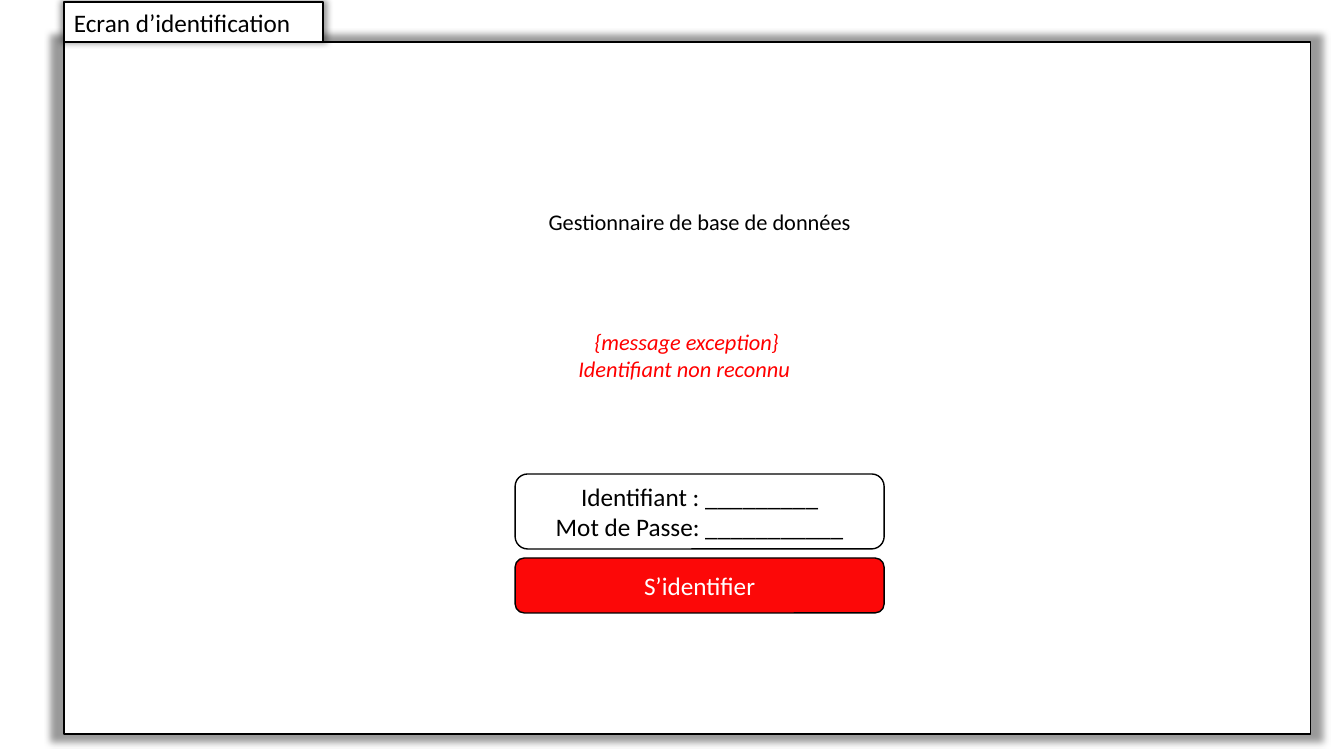
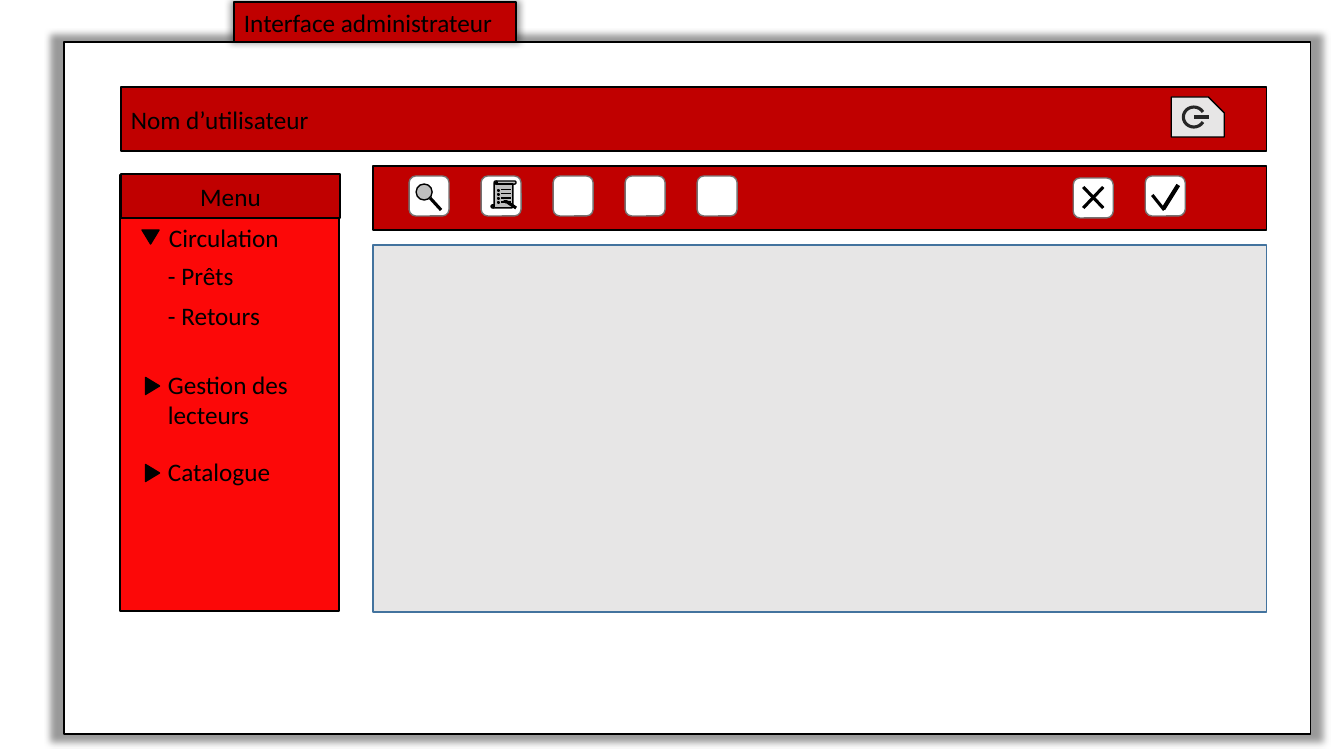
from typing import NamedTuple

from lxml.etree import SubElement
from pptx import Presentation
from pptx.dml.color import RGBColor
from pptx.enum.shapes import MSO_CONNECTOR, MSO_SHAPE
from pptx.enum.text import MSO_ANCHOR, MSO_AUTO_SIZE, PP_ALIGN
from pptx.oxml.ns import qn
from pptx.util import Emu, Inches, Pt

PIXELS_PER_INCH = 100.8
FONT = "Calibri"
BLACK, WHITE = "000000", "FFFFFF"
DARK_RED, RED, ALERT = "C00000", "FC0808", "FF0000"
LIGHT_GREY, MID_GREY, BUTTON_EDGE = "E7E6E6", "BFBFBF", "767171"
POWER_GREY, CONTENT_EDGE = "262626", "43739E"
BUTTON_SIZE, BUTTON_PITCH = 40, 72


class Box(NamedTuple):
    """A rectangle in pixels."""
    left: float
    top: float
    width: float
    height: float

    def inner(self, left, top, width, height):
        """Return a box placed relative to this one."""
        return Box(self.left + left, self.top + top, width, height)


FRAME = Box(64, 42, 1246, 692)


def px(value):
    """Turn pixels into EMU."""
    return Emu(round(value * 914400 / PIXELS_PER_INCH))


def color(code):
    """Turn a hex string into a colour."""
    return RGBColor.from_string(code)


def write(shape, lines, size=18, ink=BLACK, align=PP_ALIGN.LEFT,
          anchor=MSO_ANCHOR.MIDDLE, italic=False, grow=False):
    """Fill a shape with one paragraph per line."""
    frame = shape.text_frame
    frame.word_wrap = True
    frame.vertical_anchor = anchor
    if grow:
        frame.auto_size = MSO_AUTO_SIZE.SHAPE_TO_FIT_TEXT
    for index, line in enumerate(lines):
        paragraph = frame.add_paragraph() if index else frame.paragraphs[0]
        paragraph.alignment = align
        run = paragraph.add_run()
        run.text = line
        run.font.name = FONT
        run.font.size = Pt(size)
        run.font.italic = italic
        run.font.color.rgb = color(ink)


def add_shape(slide, kind, box, fill=None, line=BLACK, weight=1, rotation=0):
    """Add a flat preset shape."""
    shape = slide.shapes.add_shape(kind, *map(px, box))
    shape.shadow.inherit = False
    shape.rotation = rotation
    if fill:
        shape.fill.solid()
        shape.fill.fore_color.rgb = color(fill)
    else:
        shape.fill.background()
    if line:
        shape.line.color.rgb = color(line)
        shape.line.width = Pt(weight)
    else:
        shape.line.fill.background()
    return shape


def add_text(slide, box, lines, **style):
    """Add a text box that grows with its text."""
    label = slide.shapes.add_textbox(*map(px, box))
    write(label, lines, anchor=MSO_ANCHOR.TOP, grow=True, **style)


def add_line(slide, box, start, end, ink=BLACK, weight=2.25):
    """Draw a straight line between two points relative to a box."""
    points = (box.left + start[0], box.top + start[1],
              box.left + end[0], box.top + end[1])
    connector = slide.shapes.add_connector(MSO_CONNECTOR.STRAIGHT, *map(px, points))
    connector.line.color.rgb = color(ink)
    connector.line.width = Pt(weight)
    SubElement(connector._element.spPr, qn("a:effectLst"))


def add_glow(shape):
    """Give a shape a soft shadow on all sides."""
    effects = shape._element.spPr.find(qn("a:effectLst"))
    shadow = SubElement(effects, qn("a:outerShdw"), blurRad="63500", sx="102000",
                        sy="102000", algn="ctr", rotWithShape="0")
    ink = SubElement(shadow, qn("a:srgbClr"), val=BLACK)
    SubElement(ink, qn("a:alpha"), val="40000")


def add_screen(presentation, title, tab_left, tab_width, tab_fill):
    """Add a slide with the shared window frame and its title tab."""
    slide = presentation.slides.add_slide(presentation.slide_layouts[6])
    add_glow(add_shape(slide, MSO_SHAPE.RECTANGLE, FRAME, WHITE))
    tab_box = FRAME.inner(tab_left, -40, tab_width, 40)
    tab = add_shape(slide, MSO_SHAPE.RECTANGLE, tab_box, tab_fill)
    add_glow(tab)
    write(tab, [title], anchor=MSO_ANCHOR.TOP, grow=True)
    return slide


def add_login(slide, box):
    """Add the heading, error message and login form."""
    center = PP_ALIGN.CENTER
    rounded = MSO_SHAPE.ROUNDED_RECTANGLE
    heading = add_shape(slide, rounded, box.inner(348, 125, 575, 110), line=None)
    write(heading, ["Gestionnaire de base de données"], size=16, align=center)
    fields = add_shape(slide, rounded, box.inner(451, 432, 369, 75), WHITE)
    write(fields, ["Identifiant : _________", "Mot de Passe: ___________"], align=center)
    button = add_shape(slide, rounded, box.inner(451, 516, 369, 55), RED)
    write(button, ["S’identifier"], ink=WHITE, align=center)
    add_text(slide, box.inner(335, 281, 575, 64),
             ["{message exception}", "Identifiant non reconnu "],
             size=16, ink=ALERT, align=center, italic=True)


def add_user_bar(slide, box):
    """Add the user bar with its power button."""
    bar = add_shape(slide, MSO_SHAPE.RECTANGLE, box, DARK_RED)
    write(bar, ["Nom d’utilisateur "])
    power = box.inner(1050, 10, 53, 40)
    button = add_shape(slide, MSO_SHAPE.SNIP_1_RECTANGLE, power, LIGHT_GREY)
    button.adjustments[0] = 0.4
    ring = add_shape(slide, MSO_SHAPE.ARC, power.inner(12, 10, 21, 20),
                     line=POWER_GREY, weight=2.25, rotation=180)
    ring.adjustments[0] = 125.35
    ring.adjustments[1] = 90.67
    add_line(slide, power, (23, 20), (38, 20), POWER_GREY)


def add_menu(slide, box):
    """Add the side menu with its header, entries and markers."""
    add_shape(slide, MSO_SHAPE.RECTANGLE, box, RED)
    header = add_shape(slide, MSO_SHAPE.RECTANGLE, box.inner(1, -1, 219, 44), DARK_RED)
    write(header, ["Menu"], align=PP_ALIGN.CENTER)
    entries = [("Circulation", 39, 42, 169, 40), ("- Prêts", 38, 80, 169, 40),
               ("- Retours", 38, 120, 169, 40), ("Gestion des lecteurs", 38, 189, 159, 72),
               ("Catalogue", 38, 276, 159, 40)]
    for entry, *place in entries:
        add_text(slide, box.inner(*place), [entry])
    for left, top, rotation in [(22, 55, 180), (24, 204, 90), (24, 291, 90)]:
        add_shape(slide, MSO_SHAPE.ISOSCELES_TRIANGLE, box.inner(left, top, 17, 14),
                  BLACK, rotation=rotation)


def add_button(slide, toolbar, left, top=10):
    """Add an empty toolbar button and return its box."""
    box = toolbar.inner(left, top, BUTTON_SIZE, BUTTON_SIZE)
    add_shape(slide, MSO_SHAPE.ROUNDED_RECTANGLE, box, WHITE, BUTTON_EDGE)
    return box


def add_search_icon(slide, box):
    """Draw a magnifier on a button."""
    add_shape(slide, MSO_SHAPE.OVAL, box.inner(7, 8, 16, 16), MID_GREY)
    add_line(slide, box, (21, 22), (32, 34))


def add_list_icon(slide, box):
    """Draw a scroll with a bulleted list and a pen on a button."""
    add_shape(slide, MSO_SHAPE.VERTICAL_SCROLL, box.inner(10, 5, 25, 27), MID_GREY)
    for top in range(14, 27, 4):
        add_line(slide, box, (20, top), (30, top), weight=0.75)
        add_shape(slide, MSO_SHAPE.RECTANGLE, box.inner(17, top, 1, 1), BLACK)
    add_line(slide, box, (35, 32), (26, 26))
    add_shape(slide, MSO_SHAPE.ISOSCELES_TRIANGLE, box.inner(22, 23, 4, 4),
              BLACK, line=None, rotation=301.7)


def add_toolbar(slide, box):
    """Add the toolbar with its actions, cancel and confirm buttons."""
    add_shape(slide, MSO_SHAPE.RECTANGLE, box, DARK_RED)
    buttons = [add_button(slide, box, 36 + BUTTON_PITCH * index) for index in range(5)]
    add_search_icon(slide, buttons[0])
    add_list_icon(slide, buttons[1])
    cancel = add_button(slide, box, 700, 12)
    add_line(slide, cancel, (10, 9), (30, 30))
    add_line(slide, cancel, (30, 9), (10, 30))
    confirm = add_button(slide, box, 700 + BUTTON_PITCH)
    add_line(slide, confirm, (33, 9), (18, 33), weight=3)
    add_line(slide, confirm, (7, 19), (19, 34))


def main():
    """Build and save both screens."""
    presentation = Presentation()
    presentation.slide_width = Inches(13.33)
    presentation.slide_height = Inches(7.5)

    login = add_screen(presentation, "Ecran d’identification", 0, 259, WHITE)
    add_login(login, FRAME)

    admin = add_screen(presentation, "Interface administrateur", 170, 282, DARK_RED)
    add_user_bar(admin, FRAME.inner(57, 45, 1145, 64))
    add_menu(admin, FRAME.inner(56, 133, 219, 436))
    add_toolbar(admin, FRAME.inner(309, 124, 893, 64))
    add_shape(admin, MSO_SHAPE.RECTANGLE, FRAME.inner(309, 203, 893, 367),
              LIGHT_GREY, CONTENT_EDGE)

    presentation.save("out.pptx")


main()
